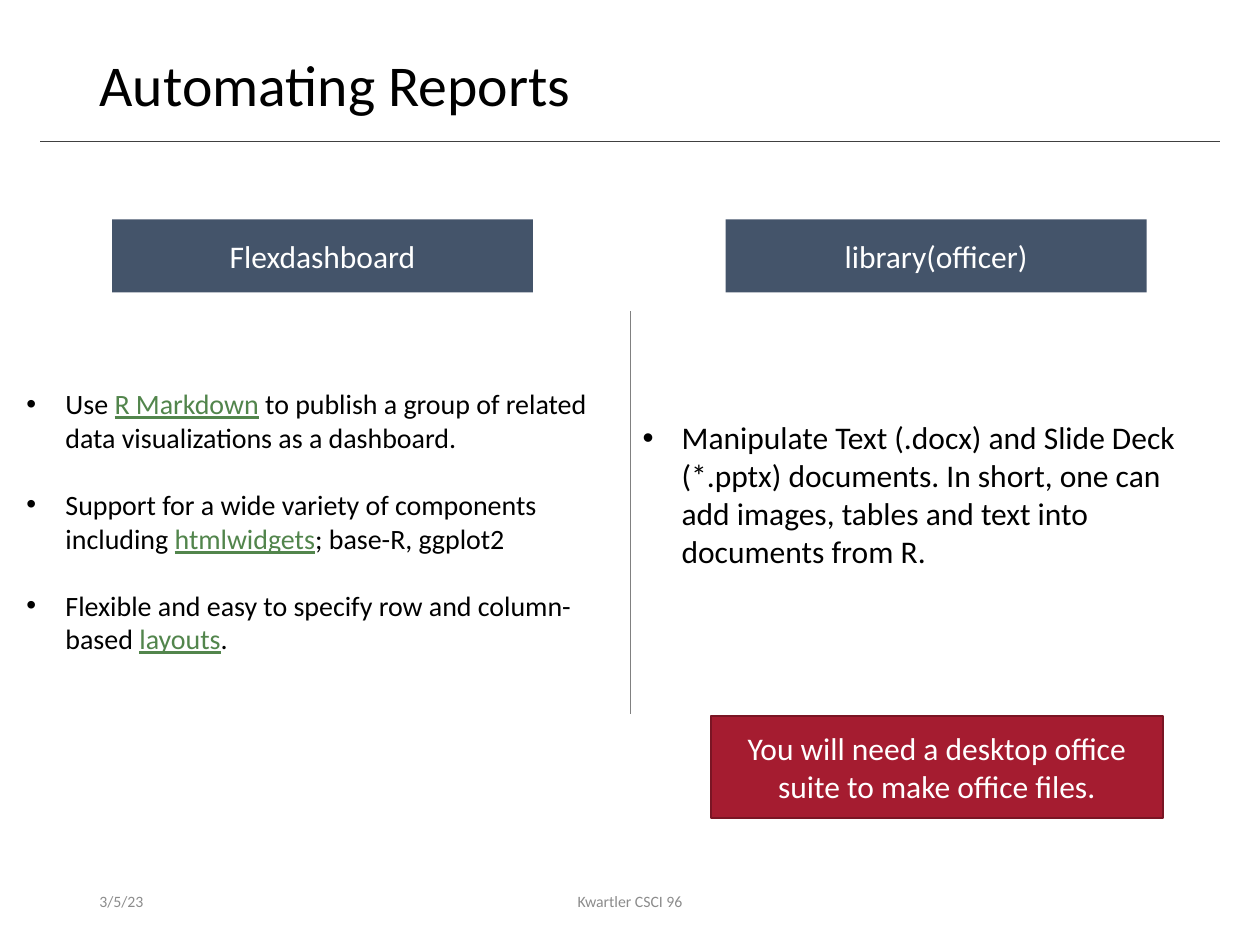
"""Build the Automating Reports slide comparing two R reporting tools."""
from dataclasses import dataclass

from lxml import etree
from pptx import Presentation
from pptx import util as u
from pptx.dml.color import RGBColor
from pptx.enum import shapes, text
from pptx.oxml.ns import qn

COLORS = {
    "black": "000000",
    "white": "FFFFFF",
    "slate": "44546A",
    "crimson": "A51C30",
    "maroon": "7A1524",
    "link": "52854C",
    "rule": "404040",
    "divider": "808080",
    "footer": "8C8C8C",
}
FONT = "Calibri"
HANGING_INDENT = u.Inches(0.31)


@dataclass
class Box:
    left: float
    top: float
    width: float
    height: float

    def lengths(self) -> list:
        return [u.Inches(value) for value in (self.left, self.top, self.width, self.height)]


@dataclass
class Bullet:
    before: str
    link: str = ""
    after: str = ""


@dataclass
class Banner:
    label: str
    box: Box
    fill: str
    outline: str = ""


@dataclass
class Column:
    box: Box
    size: float
    bullets: list[Bullet]


@dataclass
class Footer:
    label: str
    box: Box
    alignment: text.PP_ALIGN


@dataclass
class Rule:
    start: tuple[float, float]
    end: tuple[float, float]
    color: str


BANNERS = [
    Banner("Flexdashboard", Box(0.89, 1.74, 3.34, 0.58), "slate"),
    Banner("library(officer)", Box(5.76, 1.74, 3.34, 0.58), "slate"),
    Banner("You will need a desktop office suite to make office files.",
           Box(5.64, 5.68, 3.59, 0.81), "crimson", "maroon"),
]
COLUMNS = [
    Column(Box(0.11, 3.02, 4.85, 2.26), 16, [
        Bullet("Use ", "R Markdown",
               " to publish a group of related data visualizations as a dashboard."),
        Bullet("Support for a wide variety of components including ", "htmlwidgets",
               "; base-R, ggplot2"),
        Bullet("Flexible and easy to specify row and column-based ", "layouts", "."),
    ]),
    Column(Box(5, 3.27, 4.71, 1.31), 18, [
        Bullet("Manipulate Text (.docx) and Slide Deck (*.pptx) documents. In short, "
               "one can add images, tables and text into documents from R."),
    ]),
]
FOOTERS = [
    Footer("3/5/23", Box(0.69, 6.95, 2.25, 0.4), text.PP_ALIGN.LEFT),
    Footer("Kwartler CSCI 96", Box(3.31, 6.95, 3.38, 0.4), text.PP_ALIGN.CENTER),
]
RULES = [
    Rule((0.32, 1.12), (9.68, 1.12), "rule"),
    Rule((5, 2.47), (5, 5.67), "divider"),
]


def rgb(name: str) -> RGBColor:
    return RGBColor.from_string(COLORS[name])


def style_font(font, size: float, color: str) -> None:
    font.name = FONT
    font.size = u.Pt(size)
    font.color.rgb = rgb(color)


def place(shape, box: Box) -> None:
    shape.left, shape.top, shape.width, shape.height = box.lengths()


def write_line(shape, label: str, size: float, color: str, alignment, anchor) -> None:
    frame = shape.text_frame
    frame.text = label
    frame.word_wrap = True
    frame.auto_size = text.MSO_AUTO_SIZE.NONE
    frame.vertical_anchor = anchor
    paragraph = frame.paragraphs[0]
    paragraph.alignment = alignment
    style_font(paragraph.runs[0].font, size, color)


def draw_rule(slide, rule: Rule) -> None:
    start, end = ([u.Inches(value) for value in point] for point in (rule.start, rule.end))
    connector = slide.shapes.add_connector(shapes.MSO_CONNECTOR.STRAIGHT, *start, *end)
    connector.line.color.rgb = rgb(rule.color)
    connector.line.width = u.Pt(0.5)
    etree.SubElement(connector._element.spPr, qn("a:effectLst"))


def draw_banner(slide, banner: Banner) -> None:
    shape = slide.shapes.add_shape(shapes.MSO_SHAPE.RECTANGLE, *banner.box.lengths())
    shape.shadow.inherit = False
    shape.fill.solid()
    shape.fill.fore_color.rgb = rgb(banner.fill)
    if banner.outline:
        shape.line.color.rgb = rgb(banner.outline)
        shape.line.width = u.Pt(1)
    else:
        shape.line.fill.background()
    write_line(shape, banner.label, 18, "white", text.PP_ALIGN.CENTER, text.MSO_ANCHOR.MIDDLE)


def draw_footer(slide, footer: Footer) -> None:
    shape = slide.shapes.add_textbox(*footer.box.lengths())
    write_line(shape, footer.label, 9, "footer", footer.alignment, text.MSO_ANCHOR.MIDDLE)


def fill_column(placeholder, column: Column) -> None:
    place(placeholder, column.box)
    frame = placeholder.text_frame
    frame.auto_size = text.MSO_AUTO_SIZE.NONE
    for index, bullet in enumerate(column.bullets):
        paragraph = frame.add_paragraph() if index else frame.paragraphs[0]
        properties = paragraph._p.get_or_add_pPr()
        properties.set("marL", str(HANGING_INDENT))
        properties.set("indent", str(-HANGING_INDENT))
        paragraph.space_before = u.Pt(column.size * 1.2 if index else 0)
        for part in filter(None, (bullet.before, bullet.link, bullet.after)):
            run = paragraph.add_run()
            run.text = part
            is_link = part == bullet.link
            style_font(run.font, column.size, "link" if is_link else "black")
            run.font.underline = is_link


def main() -> None:
    presentation = Presentation()
    presentation.slide_width = u.Inches(10)
    presentation.slide_height = u.Inches(7.5)
    slide = presentation.slides.add_slide(presentation.slide_layouts.get_by_name("Two Content"))
    title, *bodies = slide.placeholders
    place(title, Box(0.69, 0.4, 8.62, 0.65))
    write_line(title, "Automating Reports", 33, "black", text.PP_ALIGN.LEFT, text.MSO_ANCHOR.TOP)
    title.text_frame.paragraphs[0].line_spacing = 0.9
    for body, column in zip(bodies, COLUMNS):
        fill_column(body, column)
    for rule in RULES:
        draw_rule(slide, rule)
    for banner in BANNERS:
        draw_banner(slide, banner)
    for footer in FOOTERS:
        draw_footer(slide, footer)
    presentation.save("out.pptx")


if __name__ == "__main__":
    main()
